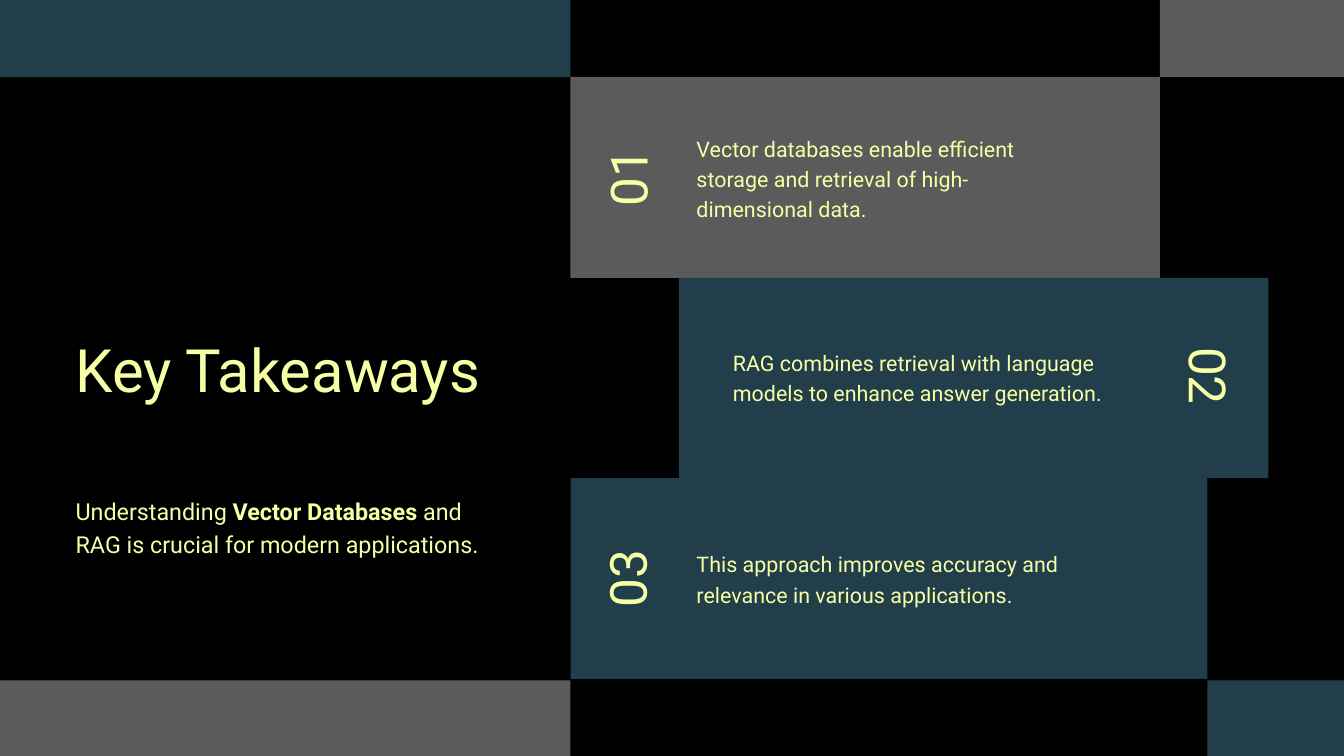
from pptx import Presentation
from pptx import util as u
from pptx.dml.color import RGBColor
from pptx.enum import shapes, text

PX = 9525
GRAY, TEAL, CREAM = "5B5B5B", "223E4A", "F6FFA6"


def paint(fill, color):
    fill.solid()
    fill.fore_color.rgb = RGBColor.from_string(color)


def write(box, words, size, lead, turn=0):
    shape = slide.shapes.add_textbox(*[n * PX for n in box])
    shape.rotation = turn
    frame = shape.text_frame
    frame.word_wrap = True
    frame.margin_left = frame.margin_right = 0
    frame.margin_top = frame.margin_bottom = 0
    para = frame.paragraphs[0]
    para.line_spacing = u.Pt(lead)
    para.font.size = u.Pt(size)
    para.font.name = "Roboto"
    paint(para.font.fill, CREAM)
    if turn:
        para.alignment = text.PP_ALIGN.CENTER
    for word in words:
        para.add_run().text = word
    return para


deck = Presentation()
deck.slide_width, deck.slide_height = 1920 * PX, 1080 * PX
slide = deck.slides.add_slide(deck.slide_layouts[6])
paint(slide.background.fill, "000000")

blocks = [
    (815, 110, 842, 287, GRAY),
    (970, 397, 842, 286, TEAL),
    (815, 683, 910, 287, TEAL),
    (-96, -67, 911, 177, TEAL),
    (-96, 972, 911, 178, GRAY),
    (1657, -60, 911, 170, GRAY),
    (1725, 972, 911, 178, TEAL),
]
for *box, color in blocks:
    block = slide.shapes.add_shape(
        shapes.MSO_SHAPE.RECTANGLE, *[n * PX for n in box])
    block.shadow.inherit = False
    block.line.fill.background()
    paint(block.fill, color)

write((108, 467, 593, 217), ["Key Takeaways"], 64, 83.2)
intro = write((108, 704, 593, 135),
              ["Understanding ", "Vector Databases",
               " and RAG is crucial for modern applications."], 25, 35)
intro.runs[1].font.bold = True

points = [
    ((995, 187, 534, 128), (801, 214, 204, 79), 270,
     "Vector databases enable efficient storage and retrieval of "
     "high-dimensional data."),
    ((1047, 493, 588, 84), (1619, 498, 204, 78), 90,
     "RAG combines retrieval with language models to enhance answer "
     "generation."),
    ((995, 781, 588, 84), (815, 787, 173, 78), 270,
     "This approach improves accuracy and relevance in various "
     "applications."),
]
for rank, (body, mark, turn, words) in enumerate(points, 1):
    write(body, [words], 23, 32.6)
    write(mark, [f"{rank:02}"], 55, 57.2, turn)

deck.save("out.pptx")
